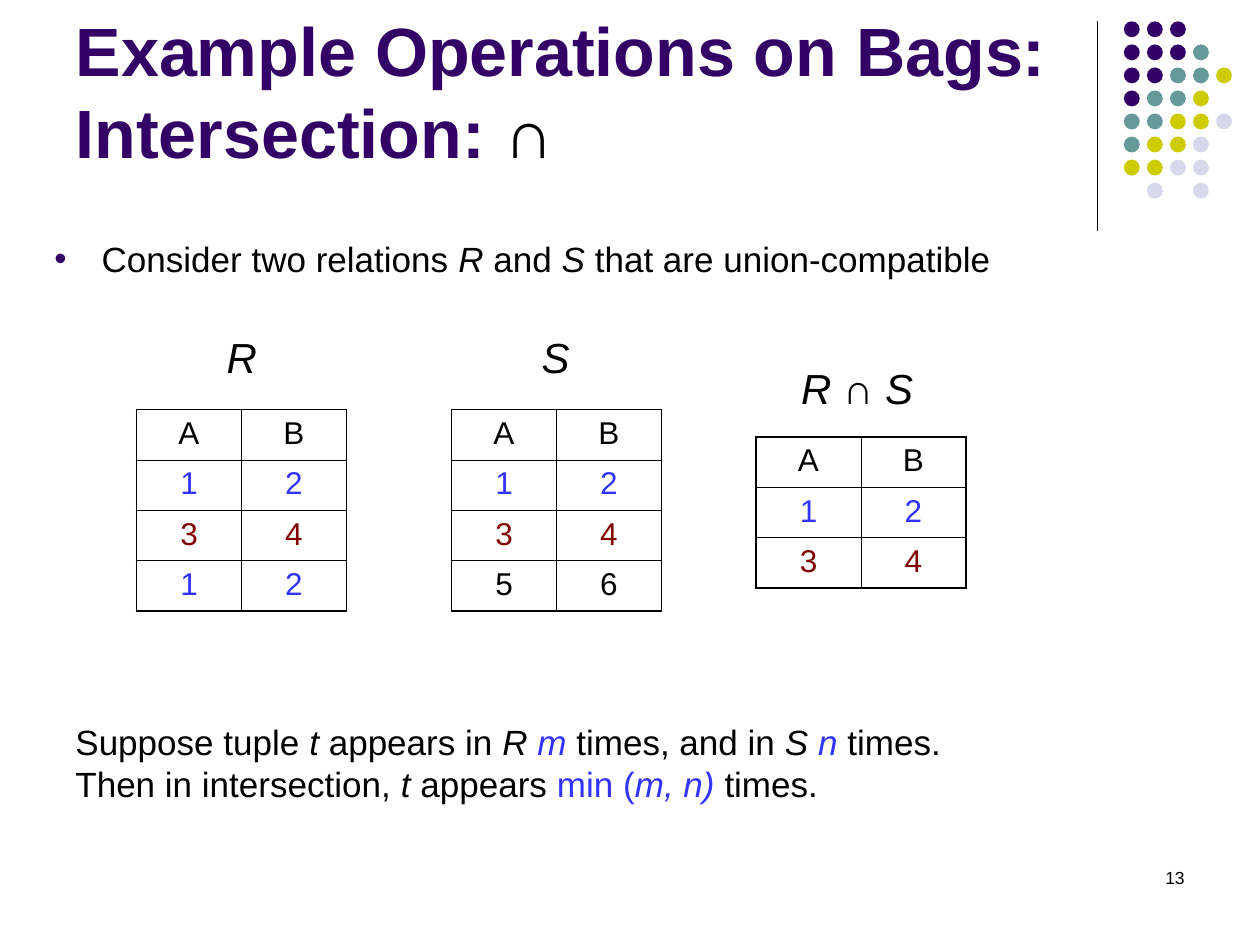
from lxml.etree import SubElement
from pptx import Presentation
from pptx.dml.color import RGBColor
from pptx.enum.shapes import MSO_CONNECTOR as CONN, MSO_SHAPE as SHAPE
from pptx.enum.text import MSO_ANCHOR as ANCHOR, PP_ALIGN as ALIGN
from pptx.oxml import parse_xml
from pptx.oxml.ns import qn
from pptx.util import Pt

BLACK, PURPLE, BLUE, MAROON = "000000", "330066", "3333FF", "800000"
DOT_COLORS = {"P": PURPLE, "T": "669999", "Y": "CCCC00", "L": "D8D8EC"}
DOT_ROWS = ["PPP", "PPPT", "PPTTY", "PTTY", "TTYYL", "TYYL", "YYLL", " L L"]
TUPLE_COLORS = {"12": BLUE, "34": MAROON}
NS = 'xmlns:a="http://schemas.openxmlformats.org/drawingml/2006/main"'


def rgb(color):
    return RGBColor.from_string(color)


def format_run(r, size, color=BLACK, italic=False):
    f = r.font
    f.name, f.size, f.italic = "Arial", Pt(size), italic
    f.color.rgb = rgb(color)


def add_runs(p, size, runs):
    """Fill a paragraph from (text, italic, color) triples."""
    for text, italic, color in runs:
        r = p.add_run()
        r.text = text
        format_run(r, size, color, italic)


def add_text(slide, box, size, lines, anchor=ANCHOR.TOP):
    tf = slide.shapes.add_textbox(*map(Pt, box)).text_frame
    tf.word_wrap = True
    tf.vertical_anchor = anchor
    for i, runs in enumerate(lines):
        p = tf.add_paragraph() if i else tf.paragraphs[0]
        add_runs(p, size, runs)
    return tf


def add_bullet(p, char, color, indent):
    pPr = p._p.get_or_add_pPr()
    pPr.set("marL", str(Pt(indent)))
    pPr.set("indent", str(-Pt(indent)))
    clr = SubElement(pPr, qn("a:buClr"))
    SubElement(clr, qn("a:srgbClr")).set("val", color)
    SubElement(pPr, qn("a:buFont")).set("typeface", "Arial")
    SubElement(pPr, qn("a:buChar")).set("char", char)


def set_borders(cell, widths):
    """Draw black borders with widths in the order left, right, top, bottom."""
    tcPr = cell._tc.get_or_add_tcPr()
    for i, (side, width) in enumerate(zip("LRTB", widths)):
        tcPr.insert(i, parse_xml(
            f'<a:ln{side} {NS} w="{Pt(width)}"><a:solidFill>'
            f'<a:srgbClr val="{BLACK}"/></a:solidFill></a:ln{side}>'))


def add_relation(slide, left, top, rows, col_width=60, row_height=28.8):
    """Draw a relation; each row is a string with one character per cell."""
    n_rows, n_cols = len(rows), len(rows[0])
    table = slide.shapes.add_table(
        n_rows, n_cols, Pt(left), Pt(top),
        Pt(col_width * n_cols), Pt(row_height * n_rows)).table
    table.first_row = table.horz_banding = False
    for i, row in enumerate(rows):
        for j, text in enumerate(row):
            cell = table.cell(i, j)
            cell.fill.background()
            edges = (j == 0, j == n_cols - 1, i == 0, i == n_rows - 1)
            set_borders(cell, [1.08 if outer else 0.45 for outer in edges])
            cell.text_frame.text = text
            p = cell.text_frame.paragraphs[0]
            p.alignment, p.space_before = ALIGN.CENTER, Pt(4.5)
            format_run(p.runs[0], 18, TUPLE_COLORS.get(row, BLACK))


def add_dots(slide, left=642.2, top=12.2, step=13.17, size=9.1):
    dots = slide.shapes.add_group_shape().shapes
    for i, row in enumerate(DOT_ROWS):
        for j, key in enumerate(row):
            if key in DOT_COLORS:
                s = dots.add_shape(SHAPE.OVAL, Pt(left + j * step),
                                   Pt(top + i * step), Pt(size), Pt(size))
                s.shadow.inherit = False
                s.fill.solid()
                s.fill.fore_color.rgb = rgb(DOT_COLORS[key])
                s.line.fill.background()


def add_divider(slide, x, top, bottom):
    line = slide.shapes.add_connector(
        CONN.STRAIGHT, Pt(x), Pt(top), Pt(x), Pt(bottom))
    line.line.color.rgb = rgb(BLACK)
    line.line.width = Pt(0.75)
    SubElement(line._element.spPr, qn("a:effectLst"))


def set_title(slide, text, symbol):
    sp = slide.shapes.title
    sp.left, sp.top, sp.width, sp.height = map(Pt, (36, 9.7, 594, 92.2))
    tf = sp.text_frame
    tf.word_wrap = True
    tf.vertical_anchor = ANCHOR.BOTTOM
    p = tf.paragraphs[0]
    p.alignment = ALIGN.LEFT
    add_runs(p, 39, [(text, False, PURPLE), (symbol, False, BLACK)])
    for r in p.runs:
        r.font.bold = True


def main():
    prs = Presentation()
    prs.slide_width, prs.slide_height = Pt(720), Pt(540)
    slide = prs.slides.add_slide(prs.slide_layouts[5])

    add_divider(slide, 627, 12, 132)
    add_dots(slide)
    set_title(slide, "Example Operations on Bags: Intersection: ", "∩")

    tf = add_text(slide, (24, 132, 558, 60), 20, [[
        ("Consider two relations ", False, BLACK), ("R", True, BLACK),
        (" and ", False, BLACK), ("S", True, BLACK),
        (" that are union-compatible", False, BLACK)]])
    p = tf.paragraphs[0]
    p.space_before = Pt(5)
    add_bullet(p, "•", PURPLE, 27)

    add_relation(slide, 78, 234, ["AB", "12", "34", "12"])
    add_relation(slide, 258, 234, ["AB", "12", "34", "56"])
    add_relation(slide, 432, 249.6, ["AB", "12", "34"])
    for name, left in (("R", 122.4), ("S", 302.4)):
        add_text(slide, (left, 186, 36, 36), 24, [[(name, True, BLACK)]])
    add_text(slide, (450.7, 203.8, 96, 40.3), 24, [[
        ("R ", True, BLACK), ("∩ ", False, BLACK), ("S", True, BLACK)]])

    add_text(slide, (36, 407.8, 564, 55.4), 20, [
        [("Suppose tuple ", False, BLACK), ("t", True, BLACK),
         (" appears in ", False, BLACK), ("R ", True, BLACK),
         ("m ", True, BLUE), ("times, and in ", False, BLACK),
         ("S ", True, BLACK), ("n ", True, BLUE), ("times.", False, BLACK)],
        [("Then in intersection, ", False, BLACK), ("t", True, BLACK),
         (" appears ", False, BLACK), ("min (", False, BLUE),
         ("m, n) ", True, BLUE), ("times.", False, BLACK)],
    ], anchor=ANCHOR.BOTTOM)

    tf = add_text(slide, (516, 492, 168, 36), 10, [[("13", False, BLACK)]])
    tf.paragraphs[0].alignment = ALIGN.RIGHT
    prs.save("out.pptx")


if __name__ == "__main__":
    main()
